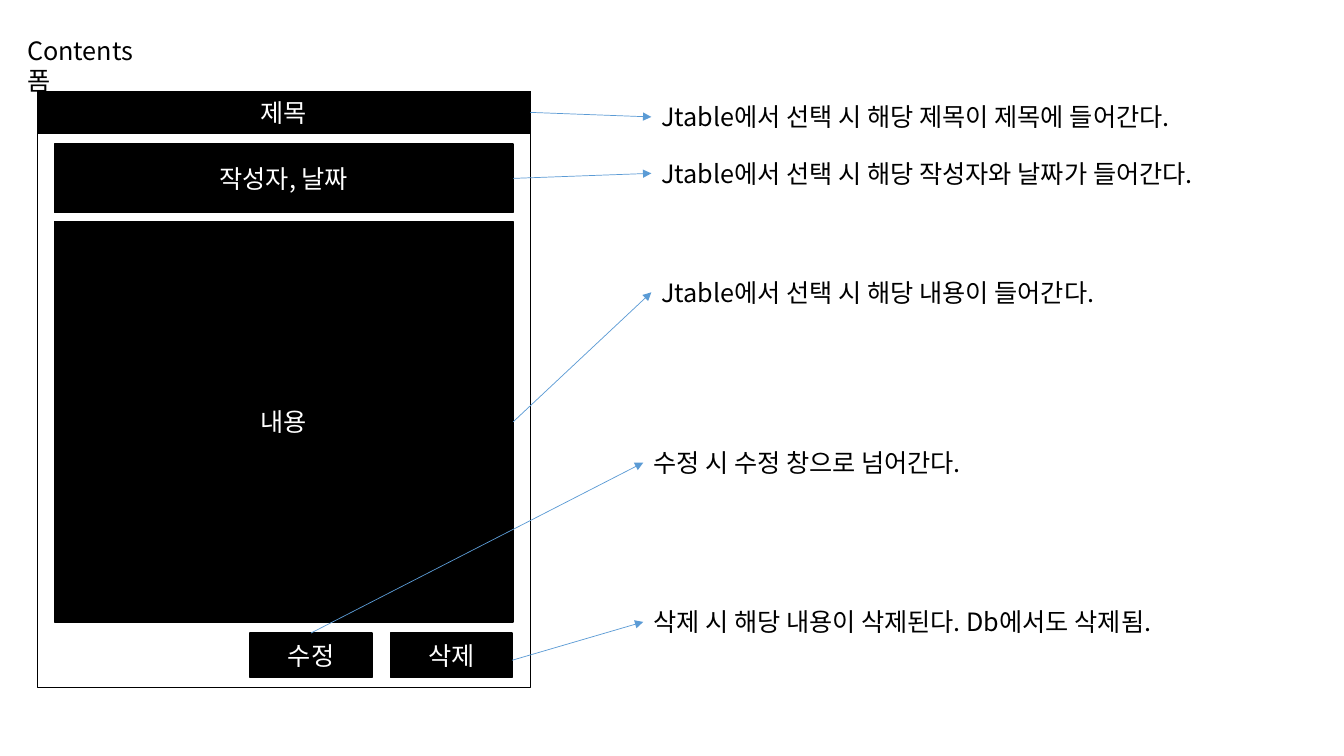
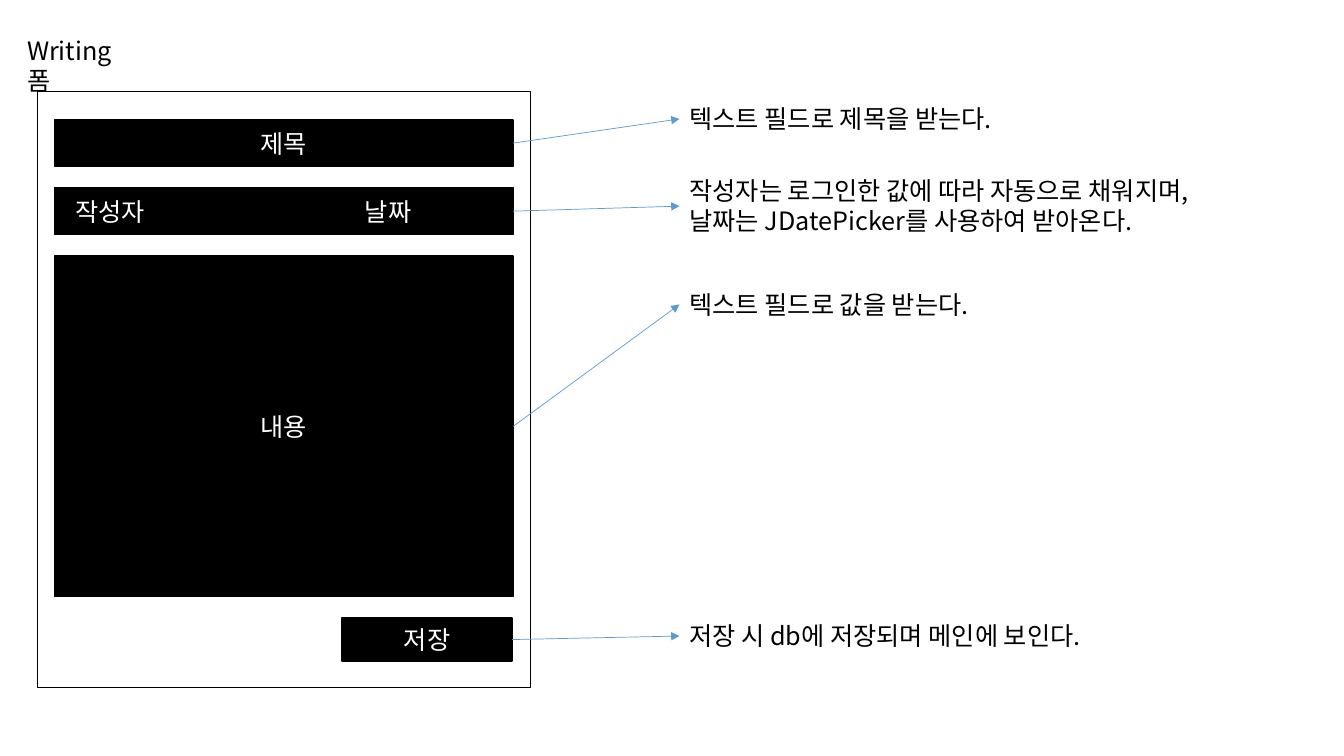
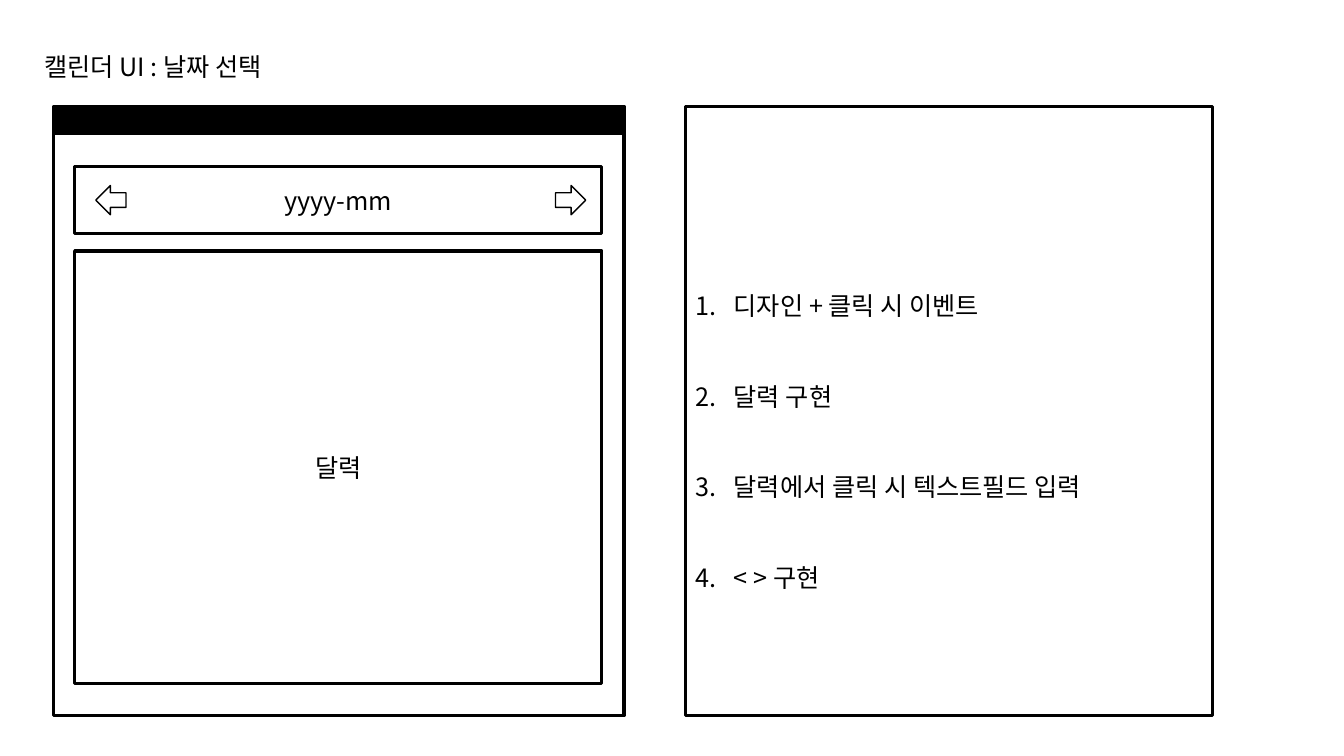
"""Build three wireframe slides: a contents form, a writing form and a calendar."""
from lxml import etree
from pptx import Presentation
from pptx.dml.color import RGBColor
from pptx.enum.shapes import MSO_CONNECTOR, MSO_SHAPE
from pptx.enum.text import MSO_ANCHOR, PP_ALIGN
from pptx.oxml.ns import qn
from pptx.util import Pt

RECTANGLE = MSO_SHAPE.RECTANGLE
LEFT_ARROW = MSO_SHAPE.LEFT_ARROW
RIGHT_ARROW = MSO_SHAPE.RIGHT_ARROW
STRAIGHT = MSO_CONNECTOR.STRAIGHT
TOP, MIDDLE = MSO_ANCHOR.TOP, MSO_ANCHOR.MIDDLE
LEFT, CENTER = PP_ALIGN.LEFT, PP_ALIGN.CENTER
SIDE_TOP, SIDE_LEFT, SIDE_RIGHT = 0, 1, 3

EMU_PER_PX = 9144
SLIDE_WIDTH, SLIDE_HEIGHT = 1333, 750
COLORS = {"black": "000000", "white": "FFFFFF", "arrow": "5B9BD5"}
FONT = "Noto Sans CJK KR"
TEXT_SIZE = 18
THIN, THICK, HAIR = 1, 2.25, 0.5

FORM_FRAME = (37, 91, 489, 591)
FIELD_LEFT, FIELD_WIDTH = 54, 455
FIELD_RIGHT = 508
NOTE_HEIGHT, TWO_LINE_HEIGHT = 40, 71
BUTTON_WIDTH, BUTTON_STEP = 121, 139
PANEL_TOP, PANEL_HEIGHT = 106, 604
CALENDAR_LEFT, CALENDAR_WIDTH = 74, 523


def px(value):
    """Turn px into EMU."""
    return value * EMU_PER_PX


def color(name):
    """Look up a named colour."""
    return RGBColor.from_string(COLORS[name])


def apply_format(target, values):
    """Set every given attribute on the target."""
    for name, value in values.items():
        setattr(target, name, value)


def write_text(shape, text, color_name, anchor=MIDDLE, align=CENTER):
    """Fill a shape with text, one paragraph a line."""
    frame = shape.text_frame
    apply_format(frame, {"word_wrap": True, "vertical_anchor": anchor, "text": text})
    for paragraph in frame.paragraphs:
        paragraph.alignment = align
        for run in paragraph.runs:
            apply_format(run.font, {"size": Pt(TEXT_SIZE), "name": FONT})
            run.font.color.rgb = color(color_name)
            east_asian = etree.SubElement(run.font._element, qn("a:ea"))
            east_asian.set("typeface", FONT)


def add_box(slide, box, text="", fill="black", line=THIN, kind=RECTANGLE):
    """Add a filled, outlined shape with centred text."""
    shape = slide.shapes.add_shape(kind, *map(px, box))
    shape.shadow.inherit = False
    shape.fill.solid()
    shape.fill.fore_color.rgb = color(fill)
    shape.line.color.rgb = color("black")
    shape.line.width = Pt(line)
    if text:
        write_text(shape, text, "white" if fill == "black" else "black")
    return shape


def add_field(slide, top, height, text):
    """Add a full-width field of a form."""
    return add_box(slide, (FIELD_LEFT, top, FIELD_WIDTH, height), text)


def add_label(slide, box, text):
    """Add plain black text."""
    label = slide.shapes.add_textbox(*map(px, box))
    write_text(label, text, "black", TOP, LEFT)
    return label


def add_arrow(slide, start, note, source=None, side=SIDE_RIGHT):
    """Draw an arrow from a point or a shape's side to a note."""
    x, y = map(px, start)
    arrow = slide.shapes.add_connector(STRAIGHT, x, y, x, y)
    if source is not None:
        arrow.begin_connect(source, side)
    arrow.end_connect(note, SIDE_LEFT)
    arrow.line.color.rgb = color("arrow")
    arrow.line.width = Pt(HAIR)
    etree.SubElement(arrow.line._get_or_add_ln(), qn("a:tailEnd")).set("type", "triangle")
    etree.SubElement(arrow._element.spPr, qn("a:effectLst"))


def add_note(slide, box, text, source=None, side=SIDE_RIGHT, start=(0, 0)):
    """Add a remark and the arrow that leads to it."""
    add_arrow(slide, start, add_label(slide, box, text), source, side)


def add_form(slide, title, title_width):
    """Add a form's title and its outer frame."""
    add_label(slide, (17, 30, title_width, NOTE_HEIGHT), title)
    add_box(slide, FORM_FRAME, fill="white")


def split_field(field, indent, tab):
    """Set a field's text in two columns."""
    frame = field.text_frame
    frame.margin_left = px(indent)
    paragraph = frame.paragraphs[0]
    paragraph.alignment = LEFT
    tabs = etree.SubElement(paragraph._p.get_or_add_pPr(), qn("a:tabLst"))
    stop = etree.SubElement(tabs, qn("a:tab"))
    stop.set("pos", str(px(tab)))
    stop.set("algn", "l")


def number_paragraphs(shape, indent, spacing):
    """Turn the paragraphs of a shape into a numbered list."""
    for paragraph in shape.text_frame.paragraphs:
        apply_format(paragraph, {"alignment": LEFT, "line_spacing": spacing})
        properties = paragraph._p.get_or_add_pPr()
        properties.set("marL", str(px(indent)))
        properties.set("indent", str(-px(indent)))
        etree.SubElement(properties, qn("a:buAutoNum")).set("type", "arabicPeriod")


def build_contents(slide):
    """Build the form that shows a post."""
    add_form(slide, "Contents폼", 130)
    title = add_box(slide, (*FORM_FRAME[:3], 41), "제목")
    body = add_field(slide, 220, 397, "내용")
    author = add_field(slide, 143, 68, "작성자, 날짜")
    edit, _ = [
        add_box(slide, (248 + index * BUTTON_STEP, 628, BUTTON_WIDTH, 44), text)
        for index, text in enumerate(("수정", "삭제"))
    ]
    for top, width, text, source in (
        (96, 574, "Jtable에서 선택 시 해당 제목이 제목에 들어간다.", title),
        (152, 594, "Jtable에서 선택 시 해당 작성자와 날짜가 들어간다.", author),
        (270, 490, "Jtable에서 선택 시 해당 내용이 들어간다.", body),
    ):
        add_note(slide, (646, top, width, NOTE_HEIGHT), text, source)
    add_note(slide, (638, 439, 364, NOTE_HEIGHT), "수정 시 수정 창으로 넘어간다.", edit, SIDE_TOP)
    add_note(slide, (638, 597, 573, NOTE_HEIGHT),
             "삭제 시 해당 내용이 삭제된다. Db에서도 삭제됨.", start=(FIELD_RIGHT, 655))


def build_writing(slide):
    """Build the form that writes a post."""
    add_form(slide, "Writing폼", 115)
    body = add_field(slide, 254, 338, "내용")
    author = add_field(slide, 186, 47, "작성자\t날짜")
    split_field(author, 21, 287)
    title = add_field(slide, 119, 46, "제목")
    save = add_box(slide, (339, 613, 169, 43), "저장")
    for top, width, height, text, source in (
        (98, 356, NOTE_HEIGHT, "텍스트 필드로 제목을 받는다.", title),
        (169, 584, TWO_LINE_HEIGHT,
         "작성자는 로그인한 값에 따라 자동으로 채워지며,\n날짜는 JDatePicker를 사용하여 받아온다.", author),
        (282, 330, NOTE_HEIGHT, "텍스트 필드로 값을 받는다.", body),
        (611, 454, NOTE_HEIGHT, "저장 시 db에 저장되며 메인에 보인다.", save),
    ):
        add_note(slide, (674, top, width, height), text, source)


def build_calendar(slide):
    """Build the date picker and its task list."""
    window = [
        add_box(slide, (53, PANEL_TOP, 566, height), fill=fill, line=THICK)
        for height, fill in ((PANEL_HEIGHT, "white"), (26, "black"))
    ]
    slide.shapes.add_group_shape(window)
    add_label(slide, (34, 46, 263, NOTE_HEIGHT), "캘린더 UI : 날짜 선택")
    for top, height, text in ((165, 67, "yyyy-mm"), (249, 429, "달력")):
        add_box(slide, (CALENDAR_LEFT, top, CALENDAR_WIDTH, height), text, "white", THICK)
    for left, kind in ((551, RIGHT_ARROW), (95, LEFT_ARROW)):
        add_box(slide, (left, 184, 30, 29), fill="white", kind=kind)
    tasks = ("디자인 + 클릭 시 이벤트", "달력 구현", "달력에서 클릭 시 텍스트필드 입력", "< > 구현")
    panel = add_box(slide, (680, PANEL_TOP, CALENDAR_WIDTH, PANEL_HEIGHT),
                    "\n".join(tasks), "white", THICK)
    number_paragraphs(panel, 38, 3)


def main():
    """Build and save the presentation."""
    presentation = Presentation()
    apply_format(presentation, {"slide_width": px(SLIDE_WIDTH), "slide_height": px(SLIDE_HEIGHT)})
    blank = presentation.slide_layouts[6]
    for build in (build_contents, build_writing, build_calendar):
        build(presentation.slides.add_slide(blank))
    presentation.save("out.pptx")


if __name__ == "__main__":
    main()
